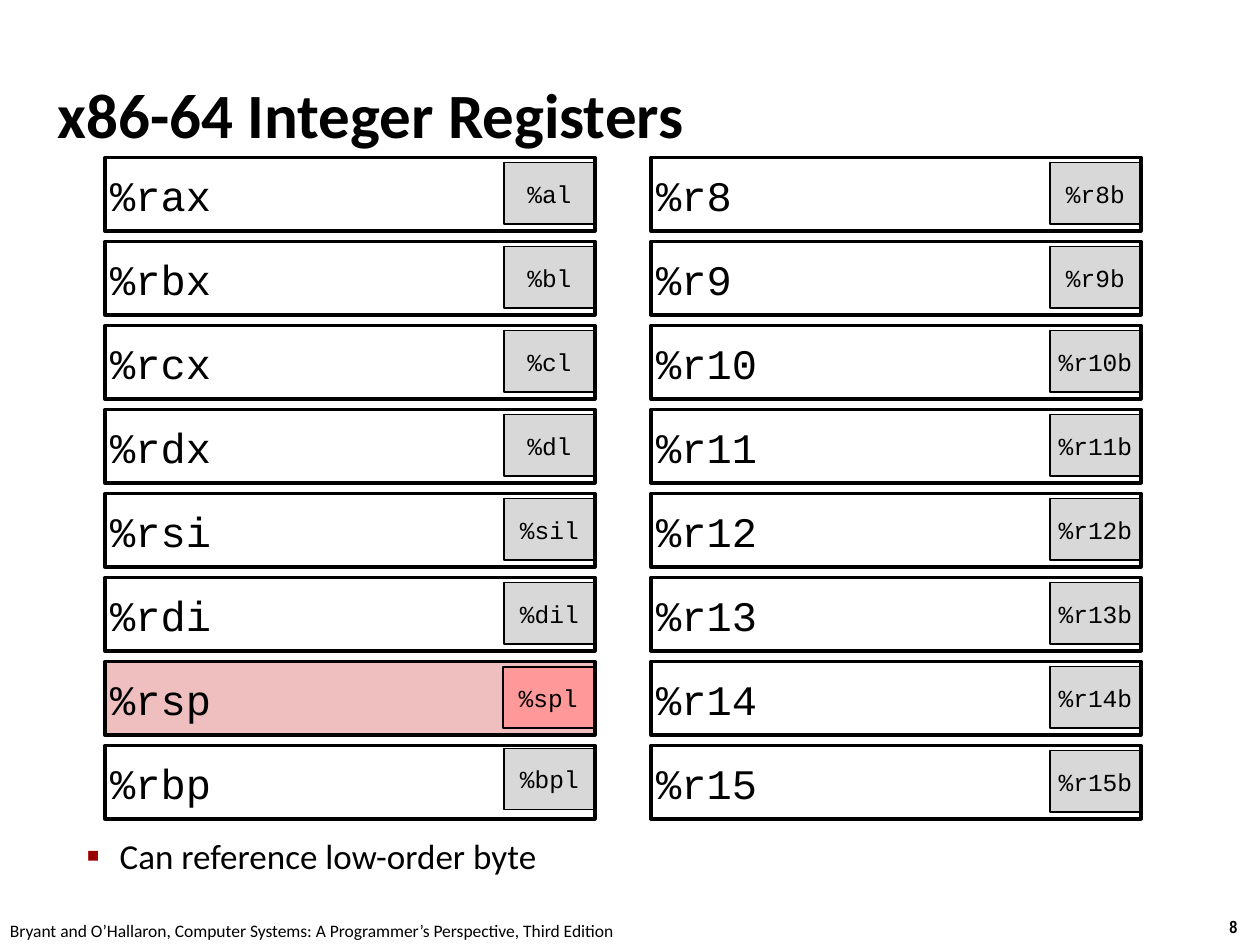
import pptx
import pptx.util
import pptx.dml.color
import pptx.enum.shapes
import pptx.enum.text
import pptx.oxml
import pptx.oxml.ns

Pt = pptx.util.Pt
ALIGN = pptx.enum.text.PP_ALIGN
ANCHOR = pptx.enum.text.MSO_ANCHOR

TITLE = "x86-64 Integer Registers"
NOTE = "Can reference low-order byte"
FOOTER = "Bryant and O’Hallaron, Computer Systems: A Programmer’s Perspective, Third Edition"
PAGE = "8"
COLUMNS = [
    [("%rax", "%al"), ("%rbx", "%bl"), ("%rcx", "%cl"), ("%rdx", "%dl"),
     ("%rsi", "%sil"), ("%rdi", "%dil"), ("%rsp", "%spl"), ("%rbp", "%bpl")],
    [(f"%r{n}", f"%r{n}b") for n in range(8, 16)],
]
STACK = "%rsp"
NUDGE = {"%spl": (-0.7, 0), "%bpl": (0, -1.4)}
COLORS = {"ink": "000000", "byte": "D8D8D8", "stack": "EFBFBF",
          "stack byte": "FF9999", "bullet": "990000"}

LEFT, TOP = 60, 90
COL_STEP, ROW_STEP = 312, 48
REG_W, REG_H = 280, 42
BYTE_W, BYTE_H = 52, 35
INSET = 3


def rgb(name):
    return pptx.dml.color.RGBColor.from_string(COLORS[name])


def place(shape, left, top, width, height):
    shape.left, shape.top = Pt(left), Pt(top)
    shape.width, shape.height = Pt(width), Pt(height)


def write(shape, text, size, font="Calibri", bold=False, align=ALIGN.LEFT,
          anchor=ANCHOR.MIDDLE, pad=INSET):
    """Fill the shape with one formatted paragraph and return it."""
    frame = shape.text_frame
    frame.text = text
    frame.word_wrap = True
    frame.auto_size = pptx.enum.text.MSO_AUTO_SIZE.NONE
    frame.vertical_anchor = anchor
    frame.margin_left = frame.margin_right = Pt(pad)
    frame.margin_top = frame.margin_bottom = Pt(min(pad, 3.6))
    para = frame.paragraphs[0]
    para.alignment = align
    face = para.runs[0].font
    face.name, face.size, face.bold = font, Pt(size), bold
    face.color.rgb = rgb("ink")
    return para


def add_label(slide, box, text, size, **style):
    label = slide.shapes.add_textbox(*map(Pt, box))
    return write(label, text, size, **style)


def add_box(slide, box, text, size, fill, line, align):
    shape = slide.shapes.add_shape(
        pptx.enum.shapes.MSO_SHAPE.RECTANGLE, *map(Pt, box))
    shape.shadow.inherit = False
    if fill:
        shape.fill.solid()
        shape.fill.fore_color.rgb = rgb(fill)
    else:
        shape.fill.background()
    shape.line.color.rgb = rgb("ink")
    shape.line.width = Pt(line)
    write(shape, text, size, font="Courier New", align=align)


def add_register(slide, left, top, name, byte):
    """Open frames go over their byte box, the filled one goes under it."""
    stack = name == STACK
    dx, dy = NUDGE.get(byte, (0, 0))
    frame = ((left, top, REG_W, REG_H), name, 24,
             "stack" if stack else None, 2, ALIGN.LEFT)
    cell = ((left + REG_W - BYTE_W + dx, top + INSET + dy, BYTE_W, BYTE_H),
            byte, 14, "stack byte" if stack else "byte",
            1 if stack else 0.75, ALIGN.CENTER)
    for part in (frame, cell) if stack else (cell, frame):
        add_box(slide, *part)


def add_bullet(para):
    props = para._p.get_or_add_pPr()
    props.set("marL", str(Pt(40)))
    props.set("indent", str(Pt(-19)))
    space = pptx.oxml.ns.nsdecls("a")
    for xml in (f'<a:buClr {space}><a:srgbClr val="{COLORS["bullet"]}"/></a:buClr>',
                f'<a:buSzPct {space} val="110000"/>',
                f'<a:buFont {space} typeface="Calibri"/>',
                f'<a:buChar {space} char="▪"/>'):
        props.append(pptx.oxml.parse_xml(xml))


def main():
    deck = pptx.Presentation()
    deck.slide_width, deck.slide_height = Pt(720), Pt(540)
    slide = deck.slides.add_slide(deck.slide_layouts.get_by_name("Title Only"))

    place(slide.shapes.title, 30, 20, 660, 90)
    write(slide.shapes.title, TITLE, 36, bold=True)

    for col, regs in enumerate(COLUMNS):
        for row, (name, byte) in enumerate(regs):
            add_register(slide, LEFT + col * COL_STEP, TOP + row * ROW_STEP,
                         name, byte)

    note = add_label(slide, (25.4, 474, 577, 66), NOTE, 20, anchor=ANCHOR.TOP)
    note.space_before = Pt(5)
    add_bullet(note)
    add_label(slide, (-1.4, 522, 366, 19.4), FOOTER, 10,
              anchor=ANCHOR.TOP, pad=7.2)
    add_label(slide, (695.5, 520, 24.5, 19.4), PAGE, 10, font="Arial Narrow",
              bold=True, anchor=ANCHOR.TOP, pad=7.2)
    deck.save("out.pptx")


if __name__ == "__main__":
    main()
